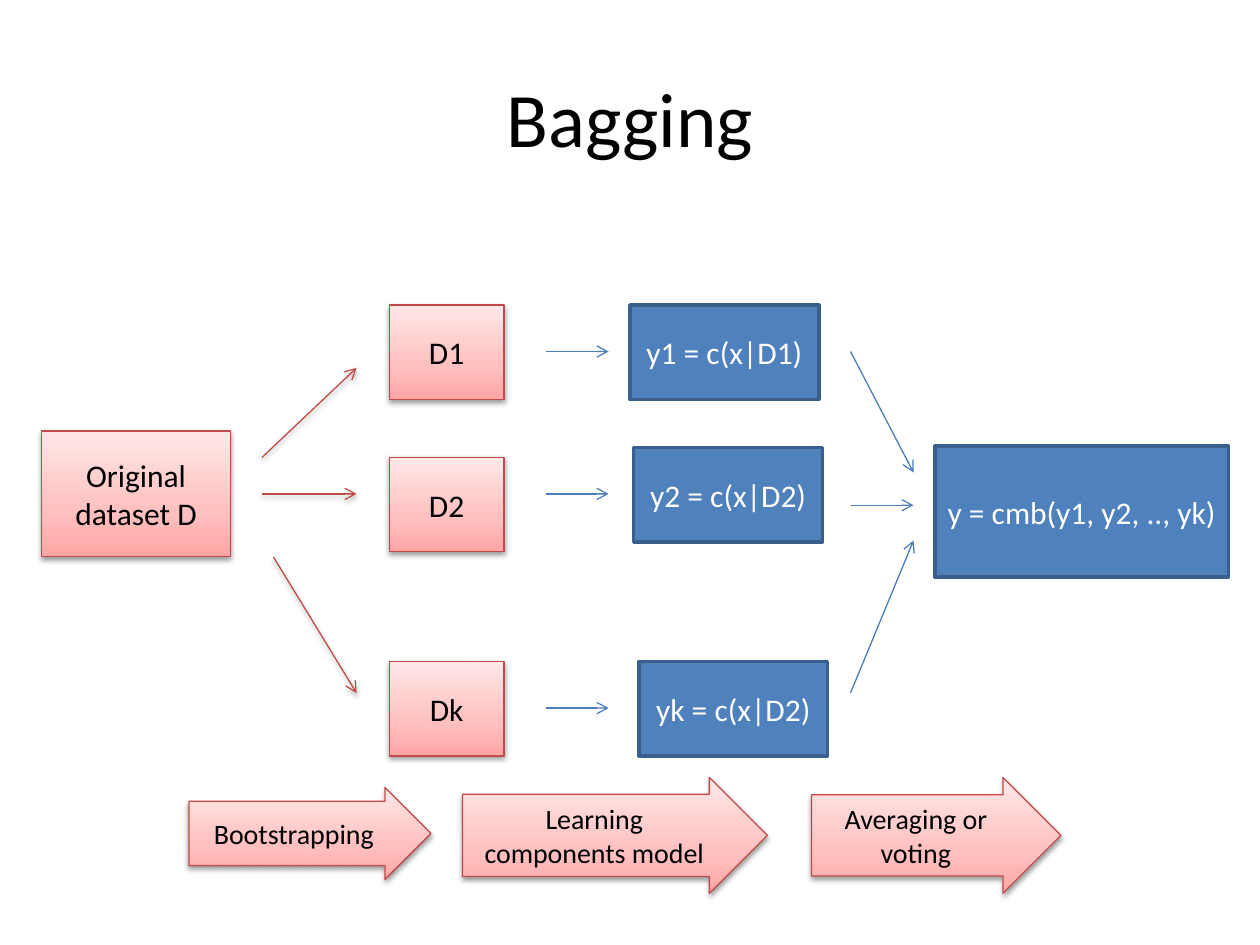
from lxml.etree import SubElement
from pptx import Presentation
from pptx.dml.color import RGBColor
from pptx.enum.shapes import MSO_CONNECTOR, MSO_SHAPE
from pptx.enum.text import MSO_ANCHOR, PP_ALIGN
from pptx.oxml import parse_xml
from pptx.oxml.ns import qn
from pptx.util import Inches, Pt

COLOURS = {
    "black": "000000", "white": "FFFFFF",
    "red": "BF4C48", "blue": "4F81BD", "edge": "3A5F8C", "arrow": "4B7EBC",
}
FADE = [(0, "FFA6A5"), (35, "FFC0BF"), (100, "FFE7E7")]
NS = 'xmlns:a="http://schemas.openxmlformats.org/drawingml/2006/main"'

# Content: text, left, top, width, height
TITLE = "Bagging"
SOURCE = ("Original dataset D", 0.33, 3.42, 1.5, 1)
SETS = [("D1", 2.42), ("D2", 3.63), ("Dk", 5.25)]
MODELS = [("y1 = c(x|D1)", 5, 2.42), ("y2 = c(x|D2)", 5.03, 3.55),
          ("yk = c(x|D2)", 5.07, 5.25)]
RESULT = ("y = cmb(y1, y2, .., yk)", 7.42, 3.54, 2.33, 1.04)
STEPS = [("Bootstrapping", 1.5, 6.25, 1.92, 0.73, 0.7),
         ("Learning components model", 3.67, 6.17, 2.42, 0.92, 0.71),
         ("Averaging or voting", 6.44, 6.17, 1.98, 0.92, 0.7)]

# Arrows: start x, start y, end x, end y
SPLIT = [(2.08, 3.63, 2.83, 2.92), (2.08, 3.92, 2.83, 3.92),
         (2.17, 4.42, 2.83, 5.5)]
LEARN = [(4.33, y, 4.83, y) for y in (2.79, 3.92, 5.62)]
MERGE = [(6.75, 2.79, 7.25, 3.75), (6.75, 4.01, 7.25, 4.01),
         (6.75, 5.5, 7.25, 4.29)]


def rgb(name):
    return RGBColor.from_string(COLOURS[name])


def write(frame, text, size=18, colour="black"):
    frame.word_wrap = True
    frame.vertical_anchor = MSO_ANCHOR.MIDDLE
    para = frame.paragraphs[0]
    para.alignment = PP_ALIGN.CENTER
    run = para.add_run()
    run.text = text
    run.font.name = "Calibri"
    run.font.size = Pt(size)
    run.font.color.rgb = rgb(colour)


def shade(effects):
    effects.append(parse_xml(
        f'<a:outerShdw {NS} blurRad="40000" dist="20000" dir="5400000" '
        'rotWithShape="0"><a:srgbClr val="000000"><a:alpha val="38000"/>'
        '</a:srgbClr></a:outerShdw>'))


def fade(shape):
    stops = "".join(f'<a:gs pos="{pos * 1000}"><a:srgbClr val="{tint}"/></a:gs>'
                    for pos, tint in FADE)
    props = shape._element.spPr
    props.replace(props.find(qn("a:solidFill")), parse_xml(
        f'<a:gradFill {NS} rotWithShape="1"><a:gsLst>{stops}</a:gsLst>'
        '<a:lin ang="16200000" scaled="0"/></a:gradFill>'))


def block(slide, text, *place, kind=MSO_SHAPE.RECTANGLE, red=True, size=18):
    shape = slide.shapes.add_shape(kind, *map(Inches, place))
    shape.shadow.inherit = False
    shape.fill.solid()
    shape.fill.fore_color.rgb = rgb("blue")
    shape.line.color.rgb = rgb("red" if red else "edge")
    shape.line.width = Pt(0.75 if red else 2)
    if red:
        fade(shape)
        shade(shape._element.spPr.find(qn("a:effectLst")))
    write(shape.text_frame, text, size=size,
          colour="black" if red else "white")
    return shape


def arrow(slide, *ends, red=False):
    line = slide.shapes.add_connector(MSO_CONNECTOR.STRAIGHT,
                                      *map(Inches, ends))
    line.line.color.rgb = rgb("red" if red else "arrow")
    line.line.width = Pt(0.75)
    props = line._element.spPr
    SubElement(props.find(qn("a:ln")), qn("a:tailEnd"), type="arrow")
    effects = SubElement(props, qn("a:effectLst"))
    if red:
        shade(effects)


def main():
    deck = Presentation()
    deck.slide_width, deck.slide_height = Inches(10), Inches(7.5)
    slide = deck.slides.add_slide(deck.slide_layouts[5])

    # Title
    title = slide.shapes.title
    title.left, title.top = Inches(0.5), Inches(0.3)
    title.width, title.height = Inches(9), Inches(1.25)
    write(title.text_frame, TITLE, size=44)

    # Dataset and its samples
    block(slide, *SOURCE)
    for text, top in SETS:
        block(slide, text, 3.09, top, 0.91, 0.75)
    for ends in SPLIT:
        arrow(slide, *ends, red=True)

    # Models and their combination
    for text, left, top in MODELS:
        block(slide, text, left, top, 1.5, 0.75, red=False)
    block(slide, *RESULT, red=False)
    for ends in LEARN + MERGE:
        arrow(slide, *ends)

    # Steps along the bottom
    for *step, stem in STEPS:
        shape = block(slide, *step, kind=MSO_SHAPE.RIGHT_ARROW, size=16)
        shape.adjustments[0] = stem
        shape.adjustments[1] = 0.5

    deck.save("out.pptx")


if __name__ == "__main__":
    main()
